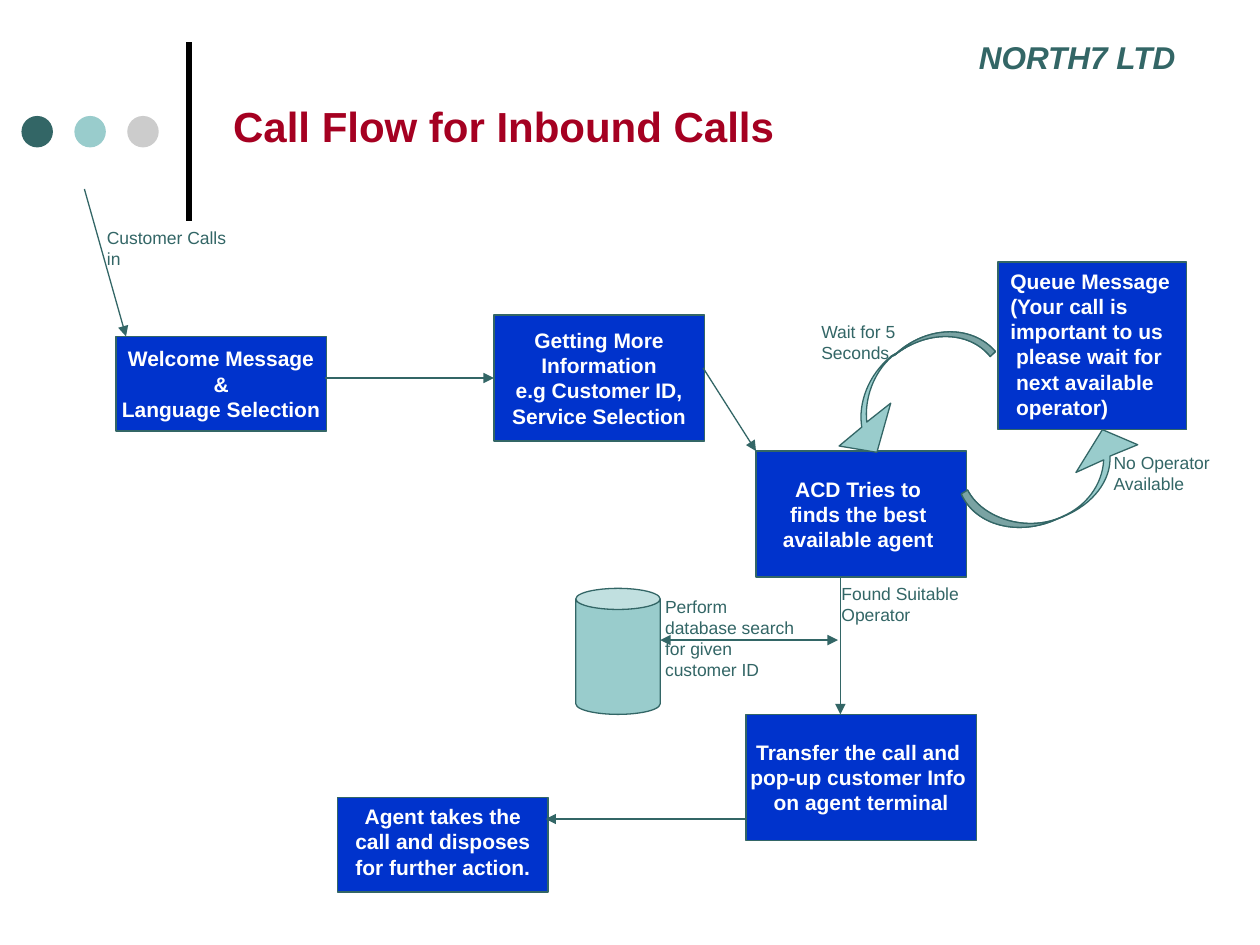
from lxml import etree
from pptx import Presentation
from pptx.dml.color import RGBColor
from pptx.enum.shapes import MSO_CONNECTOR, MSO_SHAPE
from pptx.enum.text import MSO_ANCHOR, MSO_AUTO_SIZE, PP_ALIGN
from pptx.oxml.ns import qn
from pptx.util import Inches, Pt

RECT, OVAL, CAN = MSO_SHAPE.RECTANGLE, MSO_SHAPE.OVAL, MSO_SHAPE.CAN
LINE = MSO_CONNECTOR.STRAIGHT
LEFT, MID = PP_ALIGN.LEFT, PP_ALIGN.CENTER
TOP, MIDDLE = MSO_ANCHOR.TOP, MSO_ANCHOR.MIDDLE
FONT = "Arial"
SCALE = 1000

COLORS = {
    "black": "000000", "white": "FFFFFF", "red": "A50021", "blue": "0033CC",
    "teal": "336666", "aqua": "99CCCC", "grey": "CCCCCC",
}

# left, top, width, height, text, alignment, anchor, wrap
BOXES = [
    (0.92, 2.67, 1.67, 0.75, "Welcome Message\n&\nLanguage Selection",
     MID, MIDDLE, False),
    (3.92, 2.5, 1.67, 1,
     "Getting More\nInformation\ne.g Customer ID,\nService Selection",
     MID, MIDDLE, False),
    (6, 3.58, 1.67, 1, "ACD Tries to \nfinds the best \navailable agent ",
     MID, MIDDLE, False),
    (7.92, 2.08, 1.5, 1.33,
     "Queue Message\n(Your call is\nimportant to us\n please wait for\n"
     " next available\n operator)", LEFT, TOP, False),
    (5.92, 5.67, 1.83, 1,
     "Transfer the call and \npop-up customer Info \non agent terminal",
     MID, MIDDLE, False),
    (2.68, 6.33, 1.67, 0.75,
     "Agent takes the call and disposes for further action.", MID, TOP, True),
]

# left, top, height, text
LABELS = [
    (8.74, 3.54, 0.44, "No Operator Available"),
    (6.58, 4.58, 0.44, "Found Suitable Operator"),
    (6.42, 2.5, 0.44, "Wait for 5 Seconds"),
    (5.18, 4.68, 0.77, "Perform database search for given customer ID"),
    (0.75, 1.75, 0.44, "Customer Calls in"),
]

# start x, start y, end x, end y, arrowheads at
ARROWS = [
    (5.24, 5.08, 6.65, 5.08, ("headEnd", "tailEnd")),
    (6.67, 4.58, 6.67, 5.67, ("tailEnd",)),
    (2.58, 3, 3.92, 3, ("tailEnd",)),
    (5.58, 2.92, 6, 3.58, ("tailEnd",)),
    (0.67, 1.5, 1, 2.67, ("tailEnd",)),
    (5.92, 6.5, 4.33, 6.5, ("tailEnd",)),
]

# start, outer edge, head, inner edge; six numbers make a Bezier curve
BENDS = [
    ((7.63, 3.92),
     [(7.74, 4.17, 8.08, 4.26, 8.39, 4.12), (8.44, 4.1)],
     [(8.68, 4, 8.82, 3.81, 8.81, 3.62), (9.03, 3.53), (8.75, 3.41),
      (8.54, 3.75), (8.76, 3.65), (8.75, 3.85, 8.62, 4.02, 8.43, 4.1)],
     [(8.41, 4.11), (8.15, 4.22, 7.8, 4.12, 7.68, 3.89)]),
    ((7.9, 2.79),
     [(7.72, 2.58, 7.37, 2.58, 7.12, 2.8), (7.07, 2.83)],
     [(6.89, 2.98, 6.81, 3.2, 6.84, 3.39), (6.66, 3.54), (6.96, 3.59),
      (7.07, 3.2), (6.88, 3.35), (6.86, 3.17, 6.93, 2.96, 7.08, 2.83)],
     [(7.1, 2.82), (7.35, 2.62, 7.69, 2.62, 7.86, 2.83)]),
]


def rgb(name):
    return RGBColor.from_string(COLORS[name])


def paint(shape, fill, line="teal"):
    shape.shadow.inherit = False
    shape.fill.solid()
    shape.fill.fore_color.rgb = rgb(fill)
    if line:
        shape.line.color.rgb = rgb(line)
        shape.line.width = Pt(0.75)
    else:
        shape.line.fill.background()


def write(shape, text, size, color, bold=False, italic=False,
          align=LEFT, anchor=TOP, wrap=True):
    frame = shape.text_frame
    frame.text = text
    frame.word_wrap = wrap
    frame.auto_size = MSO_AUTO_SIZE.NONE
    frame.vertical_anchor = anchor
    for para in frame.paragraphs:
        para.alignment = align
        for run in para.runs:
            font = run.font
            font.name, font.size = FONT, Pt(size)
            font.bold, font.italic = bold, italic
            font.color.rgb = rgb(color)


def add_shape(slide, kind, area, fill, line="teal"):
    shape = slide.shapes.add_shape(kind, *map(Inches, area))
    paint(shape, fill, line)
    return shape


def add_text(slide, area, text, size, color, **style):
    write(slide.shapes.add_textbox(*map(Inches, area)),
          text, size, color, **style)


def add_line(slide, ends, color="teal", width=0.75, heads=()):
    line = slide.shapes.add_connector(LINE, *map(Inches, ends))
    line.line.color.rgb = rgb(color)
    line.line.width = Pt(width)
    stroke = line.line._get_or_add_ln()
    for head in heads:
        etree.SubElement(stroke, qn("a:" + head), type="triangle")
    etree.SubElement(line._element.spPr, qn("a:effectLst"))


def scaled(part):
    """Split a part into its points, in pen units."""
    units = [round(value * SCALE) for value in part]
    return list(zip(units[::2], units[1::2]))


def bend_lines(lines, parts):
    """Merge the three lines drawn for each curve part into one curve."""
    lines = iter(lines)
    for part in parts:
        first = next(lines)
        if len(part) == 6:
            first.tag = qn("a:cubicBezTo")
            for _ in range(2):
                extra = next(lines)
                first.append(extra[0])
                extra.getparent().remove(extra)


def add_bend(slide, start, outer, head, inner):
    """Draw a curved arrow whose band is a darker second path."""
    whole, band = outer + head + inner, outer + inner
    origin = scaled(start)[0]
    pen = slide.shapes.build_freeform(*origin, scale=Inches(1) / SCALE)
    for parts in (whole, band):
        if parts is band:
            pen.move_to(*origin)
        pen.add_line_segments([p for part in parts for p in scaled(part)],
                              close=True)
    shape = pen.convert_to_shape()
    paint(shape, "aqua")

    main_path = shape._element.find(".//" + qn("a:path"))
    second = main_path.findall(qn("a:moveTo"))[1]
    dark = etree.Element(main_path.tag, dict(main_path.attrib),
                         fill="darkenLess")
    main_path.addnext(dark)
    for node in [second, *second.itersiblings()]:
        dark.append(node)
    for outline, parts in ((main_path, whole), (dark, band)):
        bend_lines(outline.findall(qn("a:lnTo")), parts)


def add_title(slide, text):
    title = slide.shapes.title
    title.left, title.top = Inches(1.75), Inches(0.75)
    title.width, title.height = Inches(6.5), Inches(0.5)
    write(title, text, 24, "red", bold=True)


def main():
    deck = Presentation()
    deck.slide_width, deck.slide_height = Inches(10), Inches(7.5)
    slide = deck.slides.add_slide(deck.slide_layouts[5])

    add_line(slide, (1.5, 1.75, 1.5, 0.33), "black", 3)
    for i, color in enumerate(("teal", "aqua", "grey")):
        add_shape(slide, OVAL, (0.17 + 0.42 * i, 0.92, 0.25, 0.25),
                  color, None)
    add_title(slide, "Call Flow for Inbound Calls")
    add_text(slide, (7.67, 0.25, 1.75, 0.4), "NORTH7 LTD", 18, "teal",
             bold=True, italic=True, wrap=False)

    for *area, text, align, anchor, wrap in BOXES:
        box = add_shape(slide, RECT, area, "blue")
        write(box, text, 12, "white", bold=True,
              align=align, anchor=anchor, wrap=wrap)
    for bend in BENDS:
        add_bend(slide, *bend)
    add_shape(slide, CAN, (4.57, 4.67, 0.67, 1), "aqua")
    for *ends, heads in ARROWS:
        add_line(slide, ends, heads=heads)
    for left, top, height, text in LABELS:
        add_text(slide, (left, top, 1.25, height), text, 10, "teal")

    deck.save("out.pptx")


if __name__ == "__main__":
    main()
